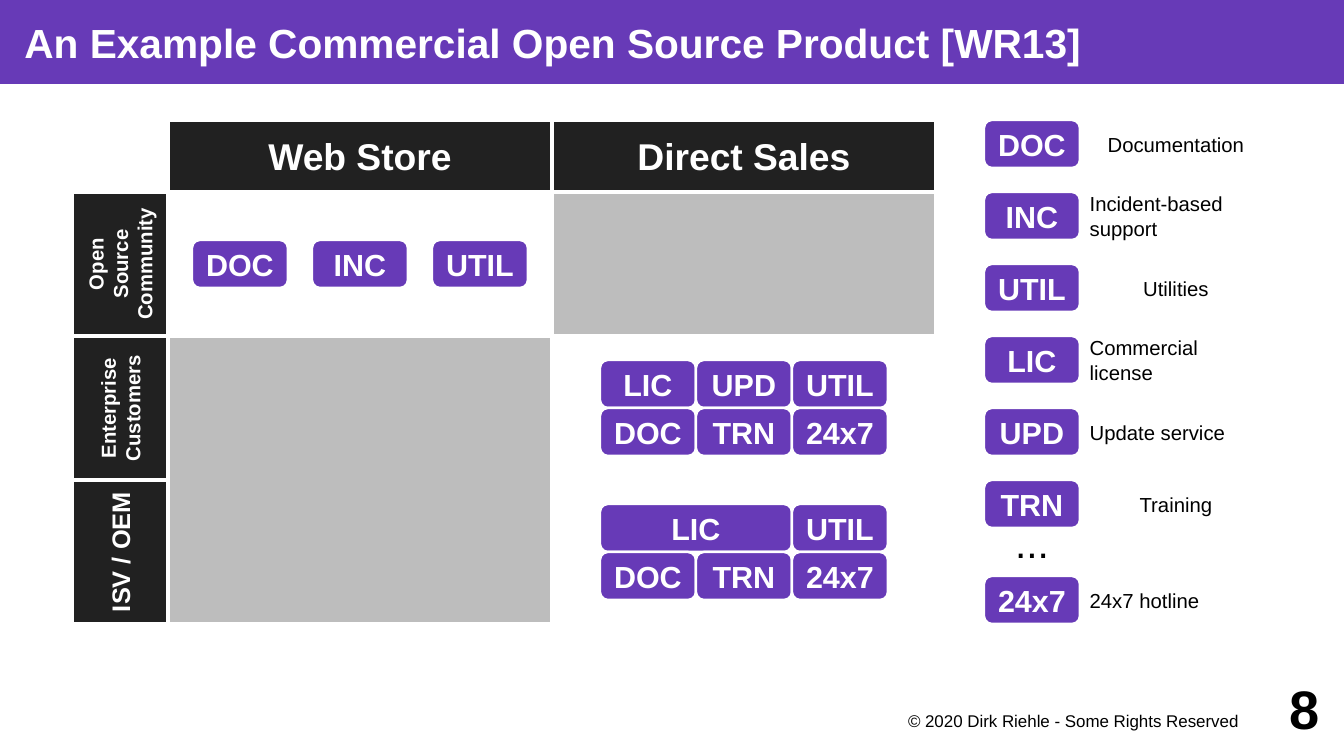
import dataclasses

import pptx
import pptx.dml.color
import pptx.enum.shapes
import pptx.enum.text
import pptx.util

Inches = pptx.util.Inches
Pt = pptx.util.Pt
Shape = pptx.enum.shapes.MSO_SHAPE
Align = pptx.enum.text.PP_ALIGN
Anchor = pptx.enum.text.MSO_ANCHOR

GRID = 1 / 2.54  # inches per layout unit; all positions are in layout units


def grid(units):
    return Inches(units * GRID)


@dataclasses.dataclass(frozen=True)
class Theme:
    font: str = "Arial"
    purple: str = "673AB7"
    dark: str = "212121"
    gray: str = "BDBDBD"
    white: str = "FFFFFF"
    black: str = "000000"
    title_size: int = 24
    column_size: int = 22
    tile_size: int = 18
    row_size: int = 12
    wide_row_size: int = 15
    label_size: int = 12
    dots_size: int = 24
    footer_size: int = 10
    number_size: int = 32
    cell_line: float = 2.83
    tile_line: float = 1.45


class Page:
    """Draws the elements of one slide in the style of a theme."""

    def __init__(self, slide, theme):
        self.slide = slide
        self.theme = theme

    def color(self, value):
        return pptx.dml.color.RGBColor.from_string(value)

    def set_text(self, box, text, size, color, align, bold=False, wrap=True, insets=(0, 0, 0, 0)):
        frame = box.text_frame
        frame.text = text
        frame.word_wrap = wrap
        frame.auto_size = pptx.enum.text.MSO_AUTO_SIZE.NONE
        frame.vertical_anchor = Anchor.MIDDLE
        frame.margin_left, frame.margin_top, frame.margin_right, frame.margin_bottom = map(Inches, insets)
        for para in frame.paragraphs:
            para.alignment = align
            para.font.name = self.theme.font
            para.font.size = Pt(size)
            para.font.bold = bold
            para.font.color.rgb = self.color(color)

    def title(self, text, width, height):
        box = self.slide.shapes.title
        box.left, box.top, box.width, box.height = 0, 0, grid(width), grid(height)
        box.fill.solid()
        box.fill.fore_color.rgb = self.color(self.theme.purple)
        self.set_text(box, text, self.theme.title_size, self.theme.white, Align.LEFT,
                      bold=True, insets=(0.2, 0, 0, 0))

    def block(self, kind, left, top, width, height, fill, line, text="", size=12):
        box = self.slide.shapes.add_shape(kind, grid(left), grid(top), grid(width), grid(height))
        box.shadow.inherit = False
        box.fill.solid()
        box.fill.fore_color.rgb = self.color(fill)
        box.line.color.rgb = self.color(self.theme.white)
        box.line.width = Pt(line)
        if text:
            self.set_text(box, text, size, self.theme.white, Align.CENTER, bold=True, wrap=False)
        return box

    def cell(self, left, top, width, height, fill, text="", size=12):
        return self.block(Shape.RECTANGLE, left, top, width, height, fill,
                          self.theme.cell_line, text, size)

    def row_header(self, left, top, width, height, text, size):
        # The box is turned about its centre, so its sides are swapped
        shift = (height - width) / 2
        box = self.cell(left - shift, top + shift, height, width, self.theme.dark, text, size)
        box.rotation = 270

    def tile(self, left, top, text, width=2):
        self.block(Shape.ROUNDED_RECTANGLE, left, top, width, 1, self.theme.purple,
                   self.theme.tile_line, text, self.theme.tile_size)

    def label(self, left, top, width, height, text, size, align, bold=False, insets=(0, 0, 0, 0)):
        box = self.slide.shapes.add_textbox(grid(left), grid(top), grid(width), grid(height))
        self.set_text(box, text, size, self.theme.black, align, bold=bold, insets=insets)


def main():
    theme = Theme()
    deck = pptx.Presentation()
    deck.slide_width, deck.slide_height = grid(28), grid(15.75)
    page = Page(deck.slides.add_slide(deck.slide_layouts[5]), theme)
    page.title("An Example Commercial Open Source Product [WR13]", 28, 1.75)

    # Matrix headers
    web, direct, column_width = 3.5, 11.5, 8
    community, enterprise, oem, row_height = 4, 7, 10, 3
    for left, name in ((web, "Web Store"), (direct, "Direct Sales")):
        page.cell(left, 2.5, column_width, 1.5, theme.dark, name, theme.column_size)
    for top, name, size in (
        (community, "Open\nSource\nCommunity", theme.row_size),
        (enterprise, "Enterprise\nCustomers", theme.row_size),
        (oem, "ISV / OEM", theme.wide_row_size),
    ):
        page.row_header(1.5, top, 2, row_height, name, size)

    # Matrix cells: gray where nothing is offered
    for left, top, rows, fill in (
        (direct, oem, 1, theme.white),
        (direct, enterprise, 1, theme.white),
        (web, enterprise, 2, theme.gray),
        (web, community, 1, theme.white),
        (direct, community, 1, theme.gray),
    ):
        page.cell(left, top, column_width, rows * row_height, fill)

    # Offered components
    for index, name in enumerate(("DOC", "INC", "UTIL")):
        page.tile(web + 0.5 + 2.5 * index, community + 1, name)
    basics = (("DOC", 2), ("TRN", 2), ("24x7", 2))
    for top, tiles in (
        (enterprise + 0.5, (("LIC", 2), ("UPD", 2), ("UTIL", 2))),
        (enterprise + 1.5, basics),
        (oem + 0.5, (("LIC", 4), ("UTIL", 2))),
        (oem + 1.5, basics),
    ):
        left = direct + 1
        for name, width in tiles:
            page.tile(left, top, name, width)
            left += width

    # Legend
    legend = 20.5
    for top, name, meaning, align in (
        (2.5, "DOC", "Documentation", Align.CENTER),
        (4, "INC", "Incident-based\nsupport", Align.LEFT),
        (5.5, "UTIL", "Utilities", Align.CENTER),
        (7, "LIC", "Commercial\nlicense", Align.LEFT),
        (8.5, "UPD", "Update service", Align.LEFT),
        (10, "TRN", "Training", Align.CENTER),
        (12, "24x7", "24x7 hotline", Align.LEFT),
    ):
        page.tile(legend, top, name)
        page.label(legend + 2, top - 0.25, 4, 1.5, meaning, theme.label_size, align,
                   insets=(0.08, 0, 0.08, 0))
    page.label(legend, 10.55, 2, 1.5, "...", theme.dots_size, Align.CENTER)

    # Footer
    page.label(18, 14.65, 8, 0.75, "© 2020 Dirk Riehle - Some Rights Reserved",
               theme.footer_size, Align.RIGHT, insets=(0, 0, 0.08, 0))
    page.label(25.5, 14, 2, 1.5, "8", theme.number_size, Align.RIGHT, bold=True)

    deck.save("out.pptx")


if __name__ == "__main__":
    main()
